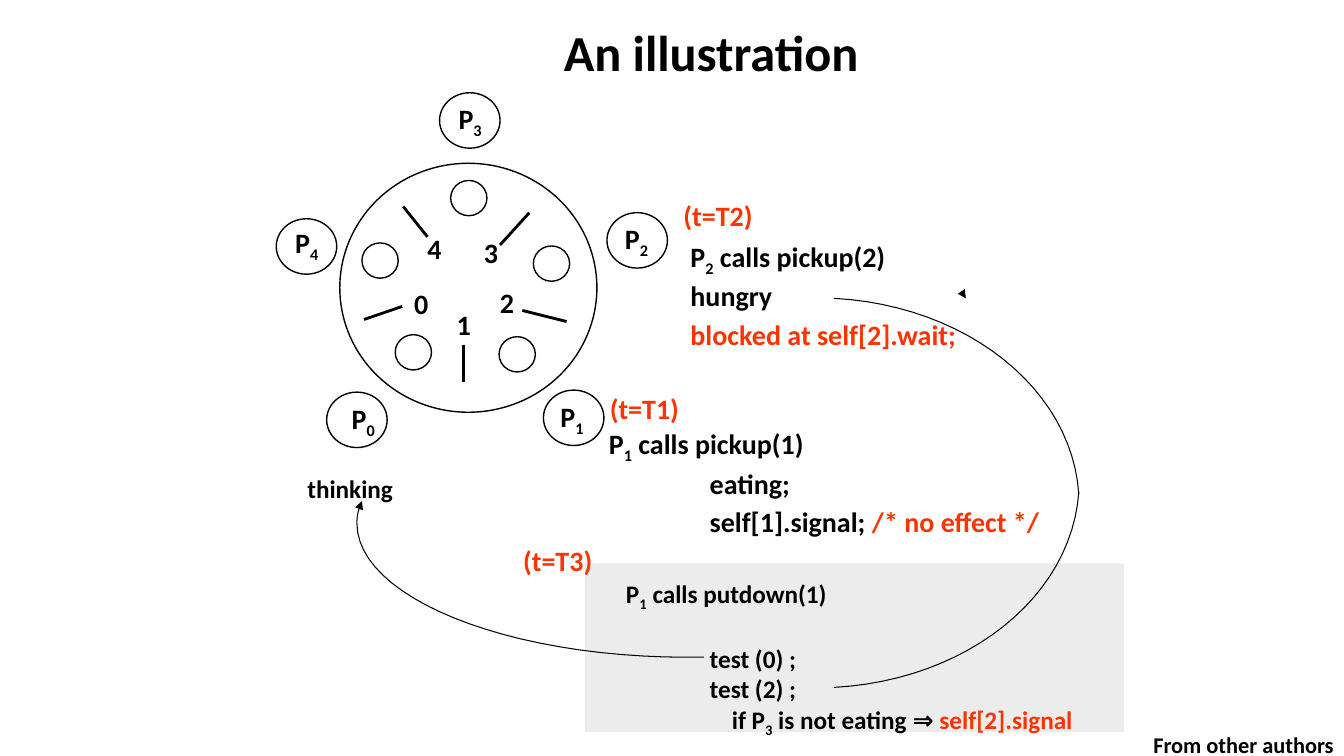
"""Build the dining philosophers illustration slide."""
import pptx
import pptx.util
import pptx.dml.color
import pptx.enum.shapes
import pptx.enum.text
import pptx.oxml.ns
import lxml.etree

PX = 9144
BLACK, RED, GREY = "000000", "FF3300", "ECECEC"
rgb = pptx.dml.color.RGBColor.from_string
qn = pptx.oxml.ns.qn


def outline(sp, width, arrow=False):
    """Give a shape or connector a black line, without shadow."""
    sp.line.color.rgb = rgb(BLACK)
    sp.line.width = pptx.util.Pt(width)
    sp_pr = sp._element.spPr
    if arrow:
        lxml.etree.SubElement(sp.line._get_or_add_ln(), qn("a:tailEnd"), type="triangle")
    if sp_pr.find(qn("a:effectLst")) is None:
        lxml.etree.SubElement(sp_pr, qn("a:effectLst"))


def write(sp, lines, align=pptx.enum.text.PP_ALIGN.LEFT):
    """Fill a shape with lines of (size, spacing, before, indent, runs)."""
    tf = sp.text_frame
    tf.word_wrap = True
    tf.auto_size = pptx.enum.text.MSO_AUTO_SIZE.NONE
    for i, (size, spacing, before, indent, runs) in enumerate(lines):
        p = tf.add_paragraph() if i else tf.paragraphs[0]
        p.alignment = align
        p.line_spacing = spacing
        p.space_before = pptx.util.Pt(before)
        if indent:
            p._p.get_or_add_pPr().set("marL", str(indent * PX))
        for text, style in runs:
            r = p.add_run()
            r.text = text
            r.font.name = "Calibri"
            r.font.size = pptx.util.Pt(size)
            r.font.bold = True
            r.font.color.rgb = rgb(RED if style == "red" else BLACK)
            if style == "sub":
                r._r.get_or_add_rPr().set("baseline", "-25000")


prs = pptx.Presentation()
prs.slide_width, prs.slide_height = 1333 * PX, 750 * PX
s = prs.slides.add_slide(prs.slide_layouts[5])
shapes = s.shapes
SHAPE = pptx.enum.shapes.MSO_SHAPE

title = shapes.title
title.left, title.top, title.width, title.height = 507 * PX, 22 * PX, 397 * PX, 65 * PX
write(title, [(36, 0.9, 0, 0, [("An illustration", "")])], pptx.enum.text.PP_ALIGN.CENTER)

panel = shapes.add_shape(SHAPE.RECTANGLE, 580 * PX, 559 * PX, 535 * PX, 167 * PX)
panel.shadow.inherit = False
panel.fill.solid()
panel.fill.fore_color.rgb = rgb(GREY)
panel.line.fill.background()

table = [(337, 162, 255, 247)]
seats = [(x, y, 60, 55) for x, y in [(436, 92), (274, 217), (324, 389), (539, 387), (602, 211)]]
plates = [(x, y, 36, 35) for x, y in [(447, 179), (529, 244), (495, 334), (392, 332), (359, 241)]]
for x, y, w, h in table + seats + plates:
    sp = shapes.add_shape(SHAPE.OVAL, x * PX, y * PX, w * PX, h * PX)
    sp.fill.background()
    outline(sp, 1)

chopsticks = [(400, 205, 424, 235), (525, 211, 496, 243), (518, 308, 562, 319),
              (460, 342, 460, 379), (361, 317, 399, 304)]
strokes = [(ends, 2, False) for ends in chopsticks] + [((954, 290, 958, 296), 0.75, True)]
for ends, width, arrow in strokes:
    line = shapes.add_connector(pptx.enum.shapes.MSO_CONNECTOR.STRAIGHT, *[v * PX for v in ends])
    outline(line, width, arrow)

STEPS = 24
curves = [
    ([(827, 682), (959, 675), (1063, 592), (1070, 488)], False),
    ([(827, 296), (959, 303), (1063, 386), (1070, 490)], False),
    ([(698, 652), (693, 652), (687, 652), (681, 652), (501, 652), (354, 592), (354, 519),
      (354, 511), (356, 504), (359, 497)], True),
]
for knots, arrow in curves:
    points = []
    for k in range(0, len(knots) - 1, 3):
        for n in range(1, STEPS + 1):
            t = n / STEPS
            weights = [(1 - t) ** 3, 3 * t * (1 - t) ** 2, 3 * t * t * (1 - t), t ** 3]
            points.append([round(PX * sum(w * q[axis] for w, q in zip(weights, knots[k:k + 4])))
                           for axis in (0, 1)])
    start_x, start_y = knots[0]
    builder = shapes.build_freeform(start_x * PX, start_y * PX)
    builder.add_line_segments(points, close=False)
    sp = builder.convert_to_shape()
    sp.fill.background()
    outline(sp, 0.75, arrow)

texts = [
    (594, 419, 508, 330, [
        (20, 0.9, 0, 0, [("P", ""), ("1", "sub"), (" calls pickup(1)", "")]),
        (20, 0.9, 6, 100, [("eating;", "")]),
        (20, 0.9, 6, 100, [("self[1].signal; ", ""), ("/* no effect */", "red")]),
        (18, 1, 28, 17, [("P", ""), ("1", "sub"), (" calls putdown(1)", "")]),
        (18, 1, 22, 100, [("test (0) ;", "")]),
        (18, 1, 0, 100, [("test (2) ;", "")]),
        (18, 1, 0, 122, [("if P", ""), ("3", "sub"), (" is not eating ⇒ ", ""),
                         ("self[2].signal", "red")]),
    ]),
    (675, 233, 310, 121, [
        (20, 0.9, 0, 0, [("P", ""), ("2", "sub"), (" calls pickup(2)", "")]),
        (20, 0.9, 6, 0, [("hungry", "")]),
        (20, 0.9, 6, 0, [("blocked at self[2].wait;", "red")]),
    ]),
    (295, 465, 126, 40, [(18, 1, 0, 0, [("thinking", "")])]),
    (1134, 720, 202, 37, [(16, 1, 0, 0, [("From other authors", "")])]),
]
for i, (x, y) in enumerate([(339, 393), (546, 391), (610, 215), (445, 96), (283, 219)]):
    texts.append((x, y, 60, 44, [(20, 1, 0, 0, [("P", ""), (str(i), "sub")])]))
for i, (x, y) in enumerate([(401, 279), (443, 300), (486, 278), (470, 229), (414, 225)]):
    texts.append((x, y, 44, 44, [(20, 1, 0, 0, [(str(i), "")])]))
for i, (x, y) in enumerate([(595, 387), (668, 196), (509, 538)], 1):
    texts.append((x, y, 110, 40, [(20, 0.9, 0, 0, [(f"(t=T{i})", "red")])]))
for x, y, w, h, lines in texts:
    write(shapes.add_textbox(x * PX, y * PX, w * PX, h * PX), lines)

prs.save("out.pptx")
